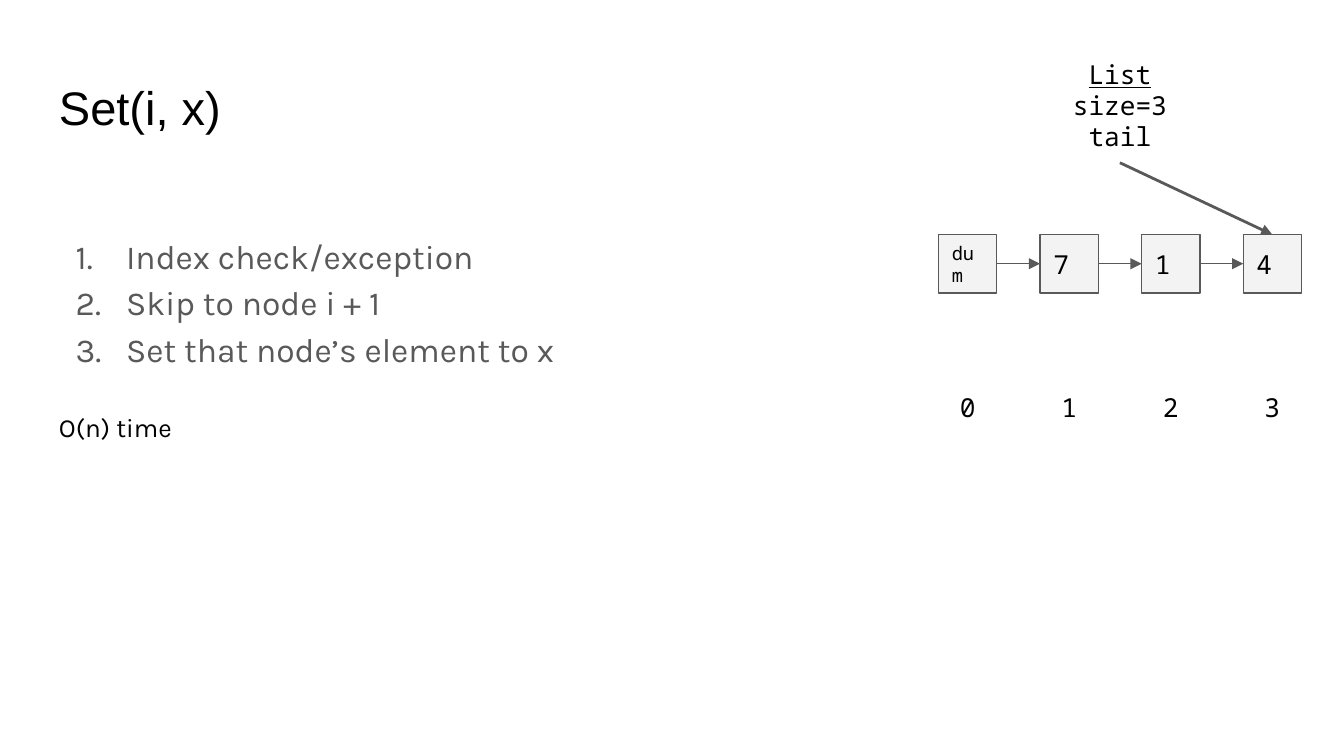
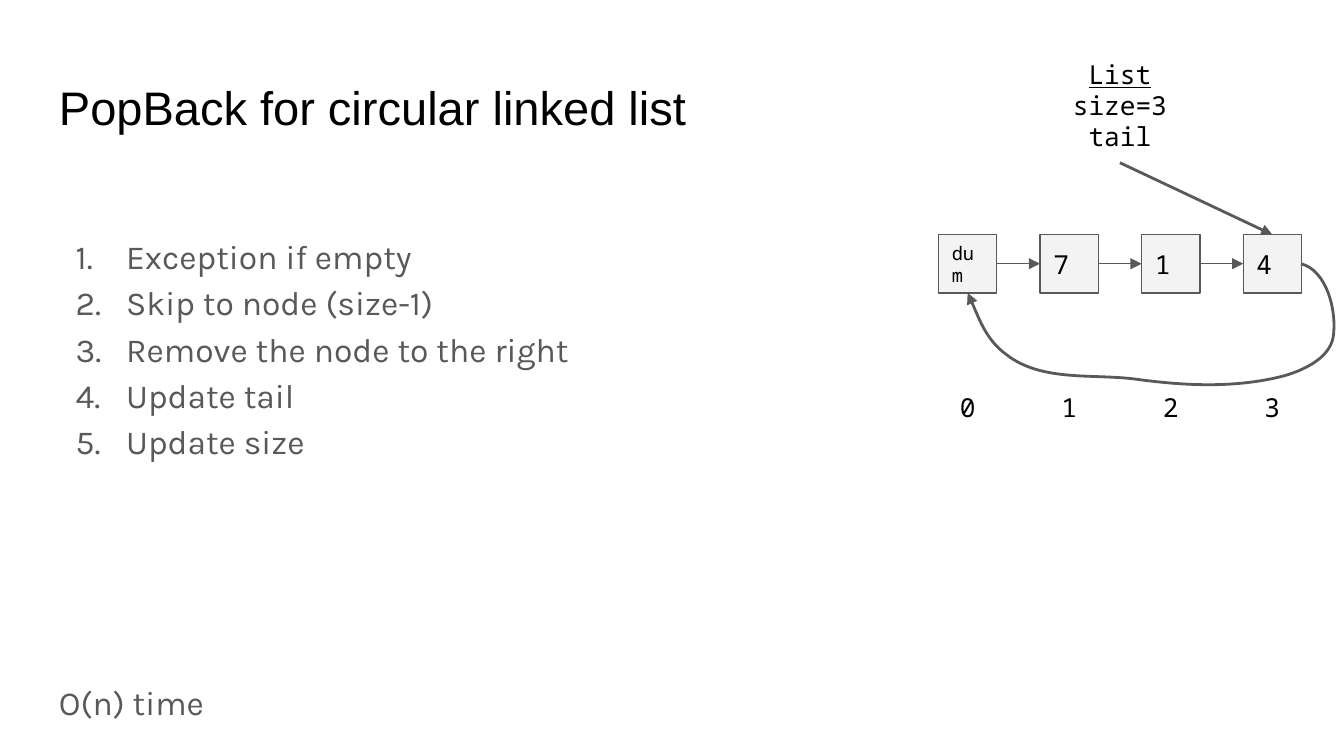
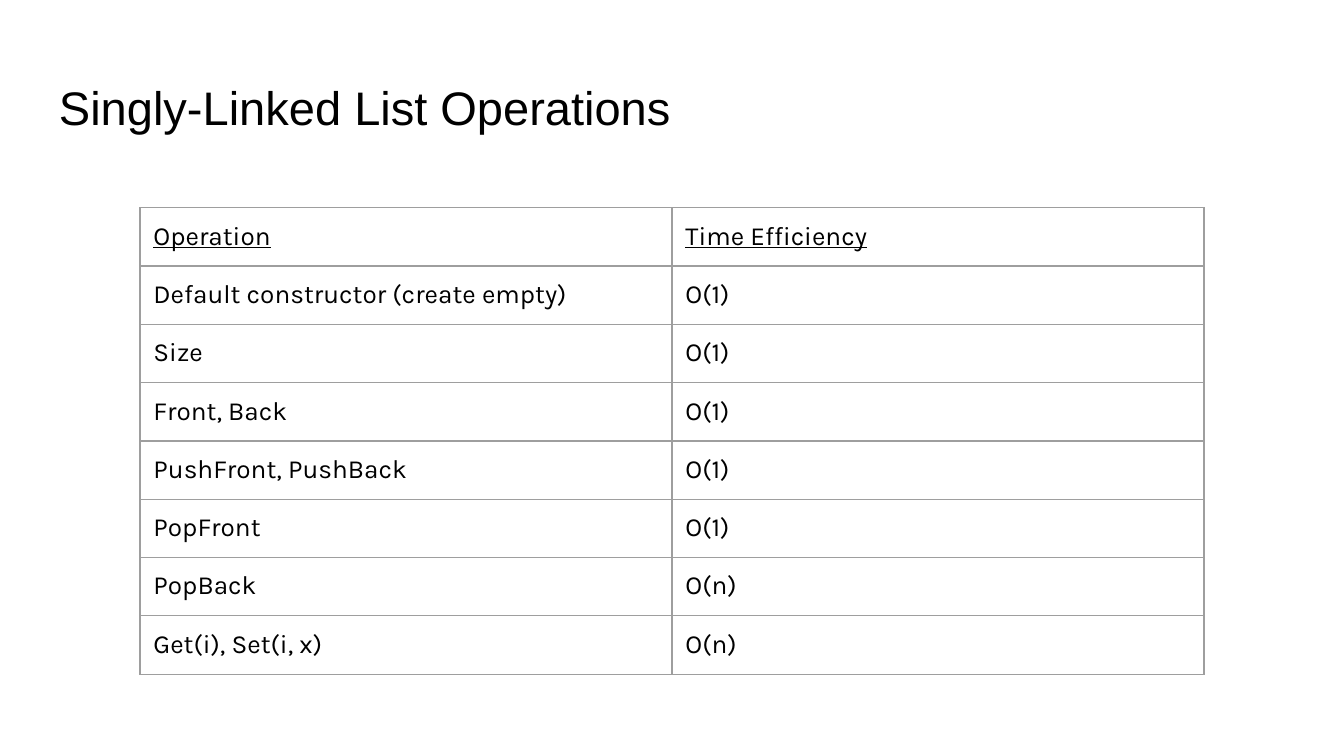
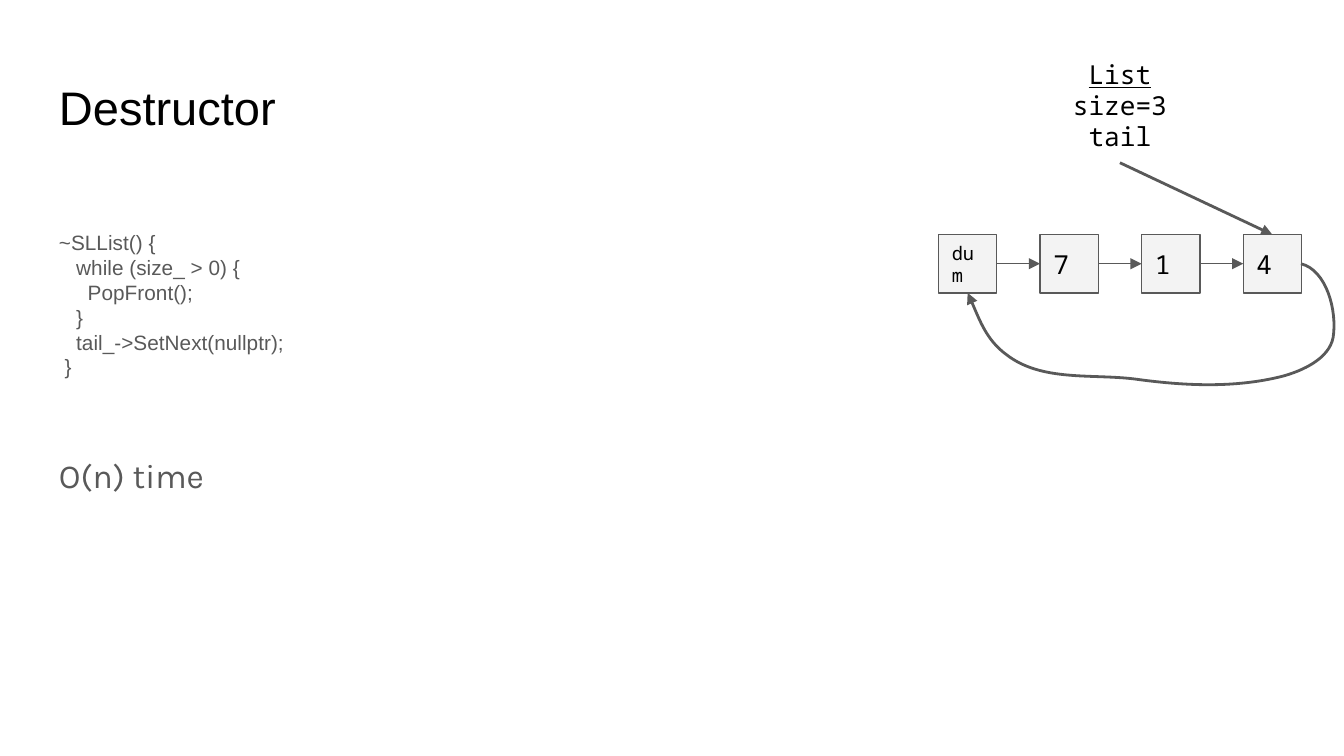
import dataclasses
import itertools
import typing

import lxml.etree
import pptx
import pptx.dml.color
import pptx.enum.shapes
import pptx.enum.text
import pptx.oxml.ns
import pptx.shapes.base
import pptx.slide
import pptx.text.text
import pptx.util

Pt = pptx.util.Pt
qn = pptx.oxml.ns.qn

BLACK = "000000"
GREY = "595959"
NODE_FILL = "F3F3F3"
TABLE_BORDER = "9E9E9E"

INSET = 7.2
MARGIN_LEFT = 24.5
BODY_TOP = 115.9
NODE_LEFT = 502.8
NODE_TOP = 125.7
NODE_PITCH = 54.4
NODE_SIZE = 31.2
INDEX_TOP = 202.5
CODE_SPACE = 3.09

CENTER = pptx.enum.text.PP_ALIGN.CENTER
MIDDLE = pptx.enum.text.MSO_ANCHOR.MIDDLE
TOP = pptx.enum.text.MSO_ANCHOR.TOP


class Box(typing.NamedTuple):
    left: float
    top: float
    width: float
    height: float

    def lengths(self) -> list[int]:
        return [Pt(value) for value in self]


@dataclasses.dataclass(frozen=True)
class TextStyle:
    font: str
    size: float
    color: str = BLACK
    anchor: pptx.enum.text.MSO_ANCHOR = TOP
    paragraph: dict[str, typing.Any] = dataclasses.field(default_factory=dict)
    numbered: bool = False


@dataclasses.dataclass(frozen=True)
class Line:
    text: str
    underline: bool = False
    indent: float = 0


TITLE = TextStyle("Arial", 25.2)
STEPS = TextStyle("Karla", 18, GREY, paragraph={"line_spacing": 1.15}, numbered=True)
COST = TextStyle("Karla", 18, GREY, paragraph={"line_spacing": 1.15, "space_after": Pt(12)})
PLAIN = TextStyle("Karla", 14)
CODE = TextStyle("Arial", 11.1, GREY, paragraph={"line_spacing": 1.0})
NODE = TextStyle("Noto Sans Mono", 14, anchor=MIDDLE)
DUMMY_NODE = dataclasses.replace(NODE, size=10)
INDEX = dataclasses.replace(NODE, paragraph={"alignment": CENTER})
LIST_LABEL = dataclasses.replace(INDEX, anchor=TOP)

NODE_TEXTS = ["dum", "7", "1", "4"]

BACK_LINK = [
    (697, 141.3),
    (710.6, 144.7), (716.4, 166.3), (714.2, 180.7),
    (712.1, 192.2), (697.7, 198.7), (686.9, 201.6),
    (661, 208.1), (633.6, 206.6), (607.7, 203),
    (584.6, 200.2), (558, 204.5), (539.3, 190.1),
    (528.5, 182.2), (523.4, 167.8), (518.4, 156.9),
]

OPERATIONS = [
    ("Operation", "Time Efficiency"),
    ("Default constructor (create empty)", "O(1)"),
    ("Size", "O(1)"),
    ("Front, Back", "O(1)"),
    ("PushFront, PushBack", "O(1)"),
    ("PopFront", "O(1)"),
    ("PopBack", "O(n)"),
    ("Get(i), Set(i, x)", "O(n)"),
]

DESTRUCTOR = [
    Line("~SLList() {"),
    Line("while (size_ > 0) {", indent=3 * CODE_SPACE),
    Line("PopFront();", indent=5 * CODE_SPACE),
    Line("}", indent=3 * CODE_SPACE),
    Line("tail_->SetNext(nullptr);", indent=3 * CODE_SPACE),
    Line("}", indent=CODE_SPACE),
]


def rgb(color: str) -> pptx.dml.color.RGBColor:
    return pptx.dml.color.RGBColor.from_string(color)


def set_attributes(target: typing.Any, values: dict[str, typing.Any]) -> None:
    for name, value in values.items():
        setattr(target, name, value)


def add_element(parent: lxml.etree._Element, tag: str, **attributes: str) -> lxml.etree._Element:
    return lxml.etree.SubElement(parent, qn(tag), attributes)


def number_paragraph(paragraph: pptx.text.text._Paragraph, color: str) -> None:
    properties = paragraph._p.get_or_add_pPr()
    properties.set("marL", str(Pt(36)))
    properties.set("indent", str(Pt(-27)))
    add_element(add_element(properties, "a:buClr"), "a:srgbClr", val=color)
    add_element(properties, "a:buAutoNum", type="arabicPeriod")


def write(frame: pptx.text.text.TextFrame, lines: list[Line], style: TextStyle) -> None:
    sides = ("left", "top", "right", "bottom")
    set_attributes(frame, {f"margin_{side}": Pt(INSET) for side in sides})
    set_attributes(frame, {"word_wrap": True, "vertical_anchor": style.anchor})
    for position, line in enumerate(lines):
        paragraph = frame.add_paragraph() if position else frame.paragraphs[0]
        set_attributes(paragraph, style.paragraph)
        if style.numbered:
            number_paragraph(paragraph, style.color)
        elif line.indent:
            paragraph._p.get_or_add_pPr().set("marL", str(Pt(line.indent)))
        run = paragraph.add_run()
        run.text = line.text
        set_attributes(run.font, {"name": style.font, "size": Pt(style.size)})
        run.font.color.rgb = rgb(style.color)
        if line.underline:
            run.font.underline = True


def add_text(slide: pptx.slide.Slide, box: Box, lines: list[Line],
             style: TextStyle) -> pptx.shapes.base.BaseShape:
    shape = slide.shapes.add_textbox(*box.lengths())
    write(shape.text_frame, lines, style)
    return shape


def add_node(slide: pptx.slide.Slide, box: Box, text: str,
             style: TextStyle) -> pptx.shapes.base.BaseShape:
    rectangle = pptx.enum.shapes.MSO_SHAPE.RECTANGLE
    shape = slide.shapes.add_shape(rectangle, *box.lengths())
    shape.shadow.inherit = False
    shape.fill.solid()
    shape.fill.fore_color.rgb = rgb(NODE_FILL)
    shape.line.color.rgb = rgb(GREY)
    shape.line.width = Pt(0.75)
    left_aligned = {"alignment": pptx.enum.text.PP_ALIGN.LEFT}
    write(shape.text_frame, [Line(text)], dataclasses.replace(style, paragraph=left_aligned))
    return shape


def draw_arrow(shape: typing.Any, width: float) -> None:
    shape.line.color.rgb = rgb(GREY)
    shape.line.width = Pt(width)
    outline = next(shape.element.iter(qn("a:ln")))
    add_element(outline, "a:tailEnd", type="triangle")


def connect(slide: pptx.slide.Slide, start: pptx.shapes.base.BaseShape, start_side: int,
            end: pptx.shapes.base.BaseShape, end_side: int, width: float) -> None:
    straight = pptx.enum.shapes.MSO_CONNECTOR.STRAIGHT
    connector = slide.shapes.add_connector(straight, 0, 0, 0, 0)
    connector.begin_connect(start, start_side)
    connector.end_connect(end, end_side)
    draw_arrow(connector, width)
    add_element(connector.element.spPr, "a:effectLst")


def add_back_link(slide: pptx.slide.Slide) -> None:
    start, *points = [(Pt(x), Pt(y)) for x, y in BACK_LINK]
    builder = slide.shapes.build_freeform(*start)
    builder.add_line_segments(points, close=False)
    shape = builder.convert_to_shape()
    shape.shadow.inherit = False
    shape.fill.background()
    segments = list(shape.element.iter(qn("a:lnTo")))
    outline = segments[0].getparent()
    for first in range(0, len(segments), 3):
        curve = add_element(outline, "a:cubicBezTo")
        for segment in segments[first:first + 3]:
            curve.append(segment[0])
            outline.remove(segment)
    draw_arrow(shape, 1.5)


def add_linked_list(slide: pptx.slide.Slide, circular: bool, indexed: bool) -> None:
    nodes = []
    for position, text in enumerate(NODE_TEXTS):
        left = NODE_LEFT + position * NODE_PITCH
        style = NODE if position else DUMMY_NODE
        nodes.append(add_node(slide, Box(left, NODE_TOP, NODE_SIZE, NODE_SIZE), text, style))
        if indexed:
            box = Box(left, INDEX_TOP, NODE_SIZE, NODE_SIZE)
            add_text(slide, box, [Line(str(position))], INDEX)
    for node, next_node in itertools.pairwise(nodes):
        connect(slide, node, 3, next_node, 1, 0.75)
    label_lines = [Line("List", underline=True), Line("size=3"), Line("tail")]
    label = add_text(slide, Box(563.7, 23.8, 72.6, 63.4), label_lines, LIST_LABEL)
    connect(slide, label, 2, nodes[-1], 0, 1.5)
    if circular:
        add_back_link(slide)


def add_operations_table(slide: pptx.slide.Slide) -> None:
    box = Box(75, 111.3, 570, 246)
    table = slide.shapes.add_table(len(OPERATIONS), 2, *box.lengths()).table
    set_attributes(table, {"first_row": False, "horz_banding": False})
    for row, texts in enumerate(OPERATIONS):
        for column, text in enumerate(texts):
            cell = table.cell(row, column)
            write(cell.text_frame, [Line(text, underline=row == 0)], PLAIN)
            sides = ("left", "top", "right", "bottom")
            set_attributes(cell, {f"margin_{side}": Pt(INSET) for side in sides})
            properties = cell._tc.get_or_add_tcPr()
            for tag in ("a:lnL", "a:lnR", "a:lnT", "a:lnB"):
                border = add_element(properties, tag, w=str(Pt(0.75)))
                add_element(add_element(border, "a:solidFill"), "a:srgbClr", val=TABLE_BORDER)
            cell.fill.background()


def add_slide(presentation: typing.Any, title: str) -> pptx.slide.Slide:
    slide = presentation.slides.add_slide(presentation.slide_layouts[6])
    add_text(slide, Box(MARGIN_LEFT, 35.1, 671, 45.4), [Line(title)], TITLE)
    return slide


def add_steps(slide: pptx.slide.Slide, width: float, height: float, steps: list[str]) -> None:
    lines = [Line(step) for step in steps]
    add_text(slide, Box(MARGIN_LEFT, BODY_TOP, width, height), lines, STEPS)


def add_cost(slide: pptx.slide.Slide, top: float, style: TextStyle = COST,
             width: float = 92.2, height: float = 38.9) -> None:
    add_text(slide, Box(MARGIN_LEFT, top, width, height), [Line("O(n) time")], style)


def main() -> None:
    presentation = pptx.Presentation()
    set_attributes(presentation, {"slide_width": Pt(720), "slide_height": Pt(405)})

    slide = add_slide(presentation, "Set(i, x)")
    add_steps(slide, 335.5, 90.7, [
        "Index check/exception",
        "Skip to node i + 1",
        "Set that node’s element to x",
    ])
    add_cost(slide, 213.1, PLAIN, 393.8, 149)
    add_linked_list(slide, circular=False, indexed=True)

    slide = add_slide(presentation, "PopBack for circular linked list")
    add_steps(slide, 312.5, 187.2, [
        "Exception if empty",
        "Skip to node (size-1)",
        "Remove the node to the right",
        "Update tail",
        "Update size",
    ])
    add_cost(slide, 355)
    add_linked_list(slide, circular=True, indexed=True)

    slide = add_slide(presentation, "Singly-Linked List Operations")
    add_operations_table(slide)

    slide = add_slide(presentation, "Destructor")
    add_cost(slide, 233.3)
    add_text(slide, Box(MARGIN_LEFT, BODY_TOP, 221, 104.4), DESTRUCTOR, CODE)
    add_linked_list(slide, circular=True, indexed=False)

    presentation.save("out.pptx")


if __name__ == "__main__":
    main()
